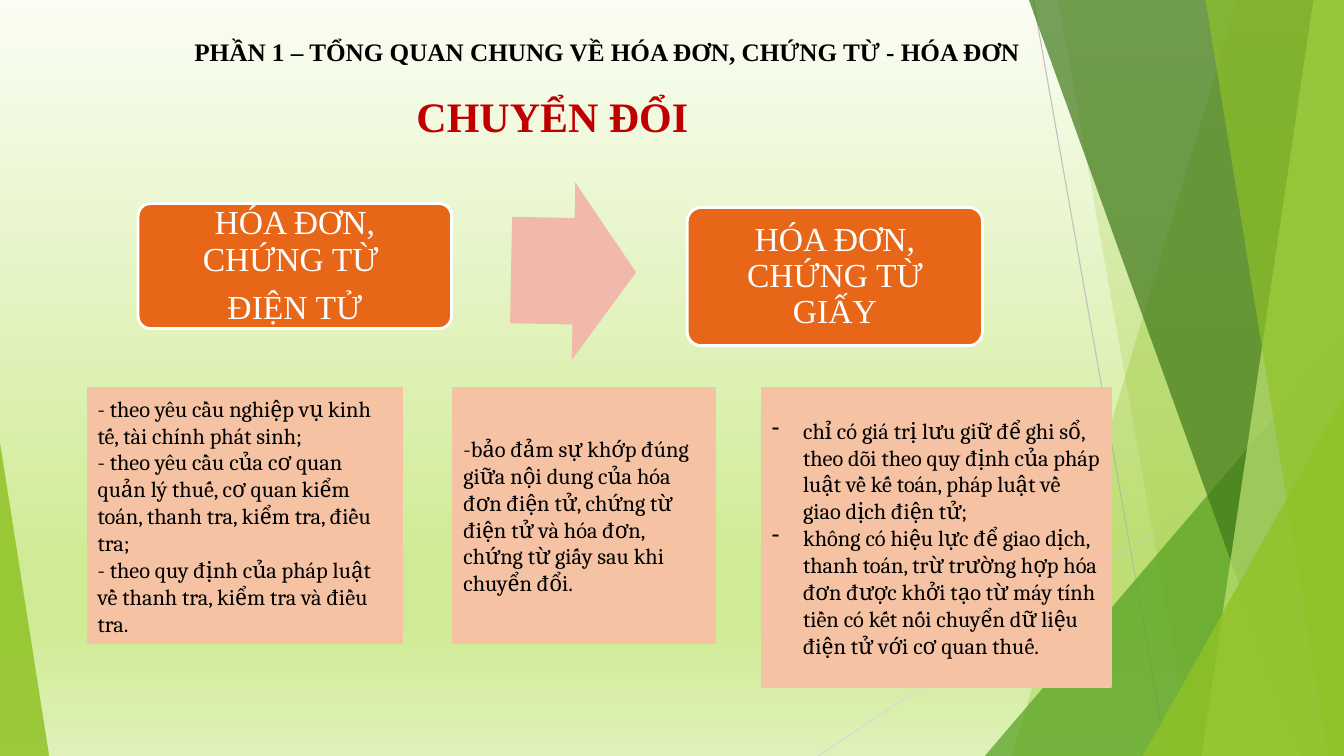
import pptx
import pptx.util
import pptx.dml.color
import pptx.enum.shapes
import pptx.enum.text
import pptx.oxml
import pptx.oxml.ns
from pptx.util import Cm

COLORS = {
    "black": "000000", "white": "FFFFFF", "red": "C00000", "orange": "E76618",
    "pink": "F1B8AC", "peach": "F5C2A3", "gray": "BFBFBF", "pale gray": "D9D9D9",
    "lime": "90C226", "green": "54A021", "dark green": "3F7819", "light lime": "C0E474",
}
BACKGROUND = [(0, "FAFDF3"), (74, "D0EB96"), (83, "D0EB96"), (100, "DFF1B9")]
WIDTH, HEIGHT = 33.87, 19.05

RAYS = [((26.04, 0), (29.41, HEIGHT), "gray"), ((WIDTH, 10.24), (20.62, HEIGHT), "pale gray")]
DECOR = [
    ("facet", (31.19, 25.5), "lime", 30),
    ("facet", (26.67, 30.05), "lime", 20),
    ("triangle", (24.82, 8.46, 9.05, 10.59, 1), "green", 72),
    ("facet", (25.93, 32.79), "dark green", 70),
    ("facet", (33.1, 30.28), "light lime", 70),
    ("facet", (30.38, 33.48), "lime", 65),
    ("triangle", (28.8, 9.98, 5.07, 9.07, 1), "lime", 80),
    ("triangle", (0, 11.15, 1.24, 7.9, 0), "lime", 85),
]

HEADING = ((4.65, 0.79, 23.34, 1.8), "PHẦN 1 – TỔNG QUAN CHUNG VỀ HÓA ĐƠN, CHỨNG TỪ - HÓA ĐƠN")
TITLE = ((1.85, 2.16, 23.88, 2.01), " CHUYỂN ĐỔI")
CARDS = [
    ((3.48, 5.13, 7.9, 3.15), ["HÓA ĐƠN, CHỨNG TỪ ", "ĐIỆN TỬ"]),
    ((17.32, 5.23, 7.44, 3.48), ["HÓA ĐƠN, CHỨNG TỪ GIẤY"]),
]
ARROW = (12.88, 4.6, 3.15, 4.47)
NOTES_TOP = 9.78
NOTES = [
    (2.21, 7.92, 6.43, False, [
        "- theo yêu cầu nghiệp vụ kinh tế, tài chính phát sinh;",
        "- theo yêu cầu của cơ quan quản lý thuế, cơ quan kiểm toán, thanh tra, kiểm tra, điều tra;",
        "- theo quy định của pháp luật về thanh tra, kiểm tra và điều tra."]),
    (11.43, 6.6, 6.43, False, [
        "-bảo đảm sự khớp đúng giữa nội dung của hóa đơn điện tử, chứng từ điện tử "
        "và hóa đơn, chứng từ giấy sau khi chuyển đổi."]),
    (19.2, 8.79, 7.54, True, [
        "chỉ có giá trị lưu giữ để ghi sổ, theo dõi theo quy định của pháp luật về kế toán, "
        "pháp luật về giao dịch điện tử;",
        "không có hiệu lực để giao dịch, thanh toán, trừ trường hợp hóa đơn được khởi tạo "
        "từ máy tính tiền có kết nối chuyển dữ liệu điện tử với cơ quan thuế."]),
]

SHAPES = pptx.enum.shapes.MSO_SHAPE
CENTER = pptx.enum.text.PP_ALIGN.CENTER
LEFT = pptx.enum.text.PP_ALIGN.LEFT
MIDDLE = pptx.enum.text.MSO_ANCHOR.MIDDLE
TOP = pptx.enum.text.MSO_ANCHOR.TOP


def rgb(name):
    return pptx.dml.color.RGBColor.from_string(COLORS[name])


def add_child(parent, tag, **attributes):
    child = pptx.oxml.ns.qn(tag)
    element = parent.makeelement(child, attributes)
    parent.append(element)
    return element


def paint(shape, color, alpha=100, line=None, width=0):
    shape.shadow.inherit = False
    shape.fill.solid()
    shape.fill.fore_color.rgb = rgb(color)
    if alpha < 100:
        solid = shape.fill._xPr.find(pptx.oxml.ns.qn("a:solidFill"))
        add_child(solid[0], "a:alpha", val=str(alpha * 1000))
    if line:
        shape.line.color.rgb = rgb(line)
        shape.line.width = pptx.util.Pt(width)
    else:
        shape.line.fill.background()


def add_preset(page, kind, box):
    return page.shapes.add_shape(kind, *map(Cm, box))


def write(shape, lines, font, size, color, align=LEFT, anchor=MIDDLE, bold=False):
    frame = shape.text_frame
    frame.word_wrap = True
    frame.vertical_anchor = anchor
    for index, line in enumerate(lines):
        para = frame.paragraphs[0] if index == 0 else frame.add_paragraph()
        para.text = line
        para.alignment = align
        para.font.name = font
        para.font.size = pptx.util.Pt(size)
        para.font.bold = bold
        para.font.color.rgb = rgb(color)
    return frame


def add_background(page):
    page.background.fill.gradient()
    gradient = next(page.element.iter(pptx.oxml.ns.qn("a:gradFill")))
    for child in list(gradient):
        gradient.remove(child)
    stops = add_child(gradient, "a:gsLst")
    for position, color in BACKGROUND:
        stop = add_child(stops, "a:gs", pos=str(position * 1000))
        add_child(stop, "a:srgbClr", val=color)
    add_child(gradient, "a:lin", ang="5400000", scaled="0")


def add_decor(page):
    for start, end, color in RAYS:
        ray = page.shapes.add_connector(
            pptx.enum.shapes.MSO_CONNECTOR.STRAIGHT, *map(Cm, start + end))
        ray.line.color.rgb = rgb(color)
        ray.line.width = pptx.util.Pt(0.75)
        add_child(ray._element.spPr, "a:effectLst")
    for kind, place, color, alpha in DECOR:
        if kind == "facet":
            top, bottom = place
            builder = page.shapes.build_freeform(Cm(top), 0)
            corners = [(WIDTH, 0), (WIDTH, HEIGHT), (bottom, HEIGHT)]
            builder.add_line_segments([(Cm(x), Cm(y)) for x, y in corners], close=True)
            shape = builder.convert_to_shape()
        else:
            shape = add_preset(page, SHAPES.ISOSCELES_TRIANGLE, place[:4])
            shape.adjustments[0] = place[4]
        paint(shape, color, alpha)


def add_cards(page):
    for box, lines in CARDS:
        card = add_preset(page, SHAPES.ROUNDED_RECTANGLE, box)
        card.adjustments[0] = 0.1
        paint(card, "orange", line="white", width=2)
        frame = write(card, lines, "Times New Roman", 24, "white", CENTER)
        frame.margin_left = frame.margin_right = Cm(0.3)
        frame.margin_top = frame.margin_bottom = Cm(0.3)
        for para in frame.paragraphs:
            para.line_spacing = 0.9
            para.space_after = pptx.util.Pt(8.4)
    arrow = add_preset(page, SHAPES.RIGHT_ARROW, ARROW)
    arrow.adjustments[0] = 0.6
    arrow.adjustments[1] = 0.5
    arrow.rotation = 1.1
    paint(arrow, "pink")


def add_notes(page):
    for left, width, height, bulleted, lines in NOTES:
        note = add_preset(page, SHAPES.RECTANGLE, (left, NOTES_TOP, width, height))
        paint(note, "peach", line="peach", width=1.5)
        frame = write(note, lines, "Cambria", 16, "black")
        if bulleted:
            for para in frame.paragraphs:
                properties = para._p.get_or_add_pPr()
                properties.set("marL", str(Cm(0.79)))
                properties.set("indent", str(-Cm(0.79)))
                bullet = pptx.oxml.parse_xml(
                    '<a:buChar %s char="-"/>' % pptx.oxml.ns.nsdecls("a"))
                properties.insert_element_before(bullet, "a:tabLst", "a:defRPr", "a:extLst")


def main():
    deck = pptx.Presentation()
    deck.slide_width, deck.slide_height = Cm(WIDTH), Cm(HEIGHT)
    page = deck.slides.add_slide(deck.slide_layouts[6])
    add_background(page)
    add_decor(page)
    for (box, text), size, color, align in [
            (TITLE, 30, "red", CENTER), (HEADING, 18, "black", LEFT)]:
        label = page.shapes.add_textbox(*map(Cm, box))
        write(label, [text], "Times New Roman", size, color, align, TOP, True)
    add_cards(page)
    add_notes(page)
    deck.save("out.pptx")


if __name__ == "__main__":
    main()
